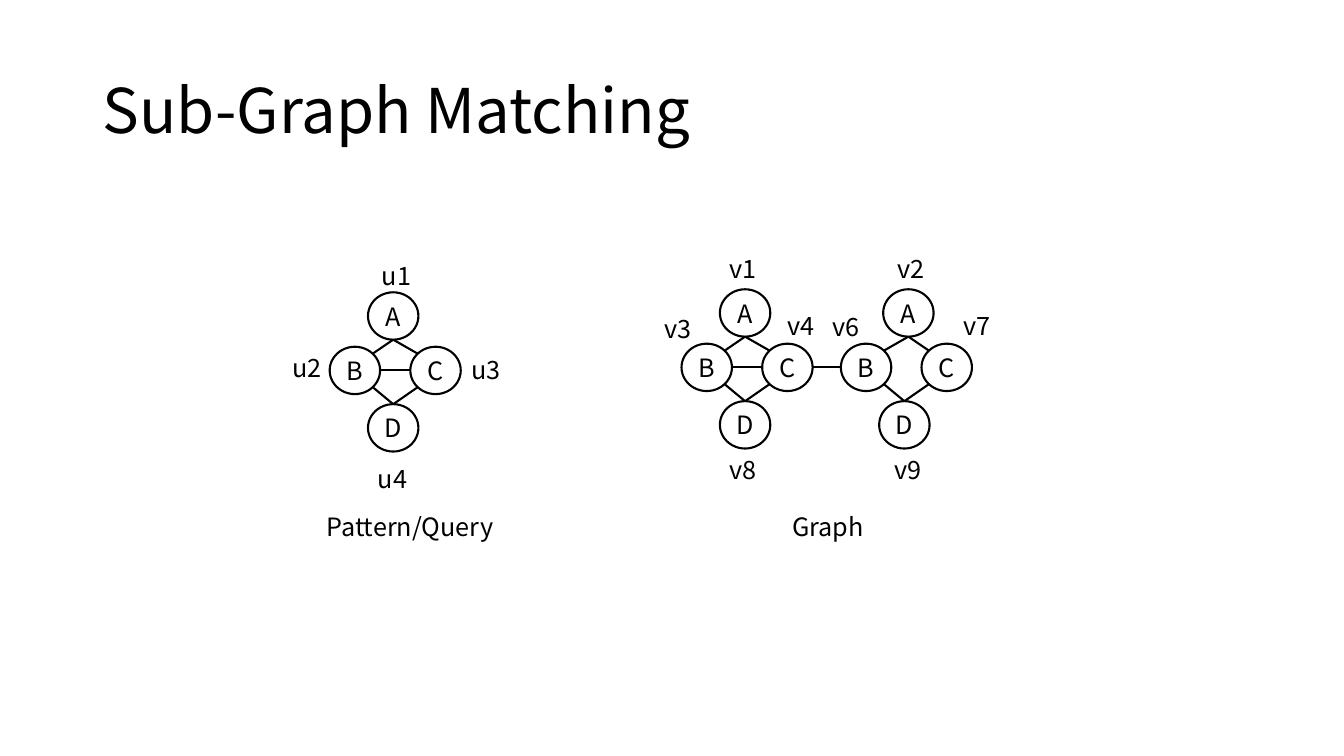
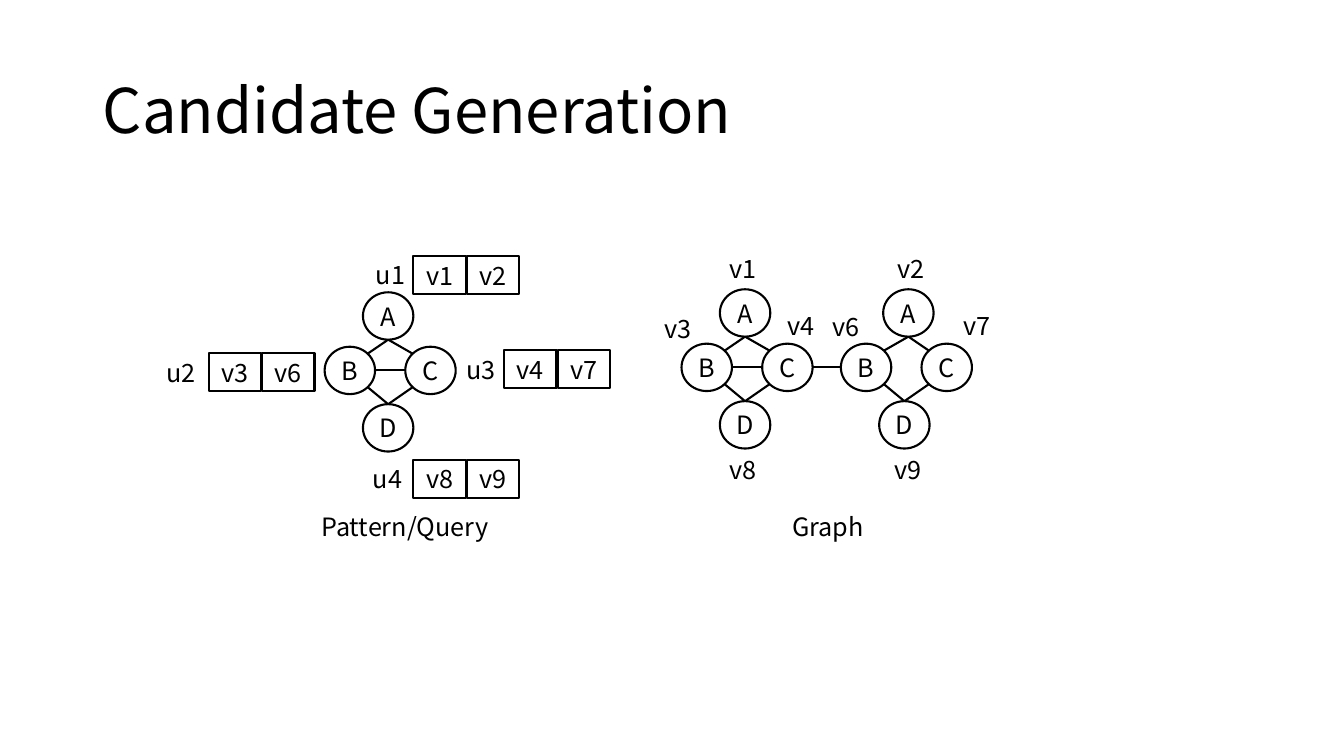
from dataclasses import dataclass
from math import sqrt

from lxml import etree
from pptx import Presentation
from pptx.dml.color import RGBColor
from pptx.enum.shapes import MSO_CONNECTOR, MSO_SHAPE
from pptx.enum.text import MSO_ANCHOR, MSO_AUTO_SIZE, PP_ALIGN
from pptx.oxml.ns import qn
from pptx.shapes.autoshape import Shape
from pptx.slide import Slide
from pptx.util import Emu, Pt

STRAIGHT = MSO_CONNECTOR.STRAIGHT
OVAL = MSO_SHAPE.OVAL
RECTANGLE = MSO_SHAPE.RECTANGLE
MIDDLE = MSO_ANCHOR.MIDDLE
CENTER = PP_ALIGN.CENTER
LEFT = PP_ALIGN.LEFT
FIT_SHAPE = MSO_AUTO_SIZE.SHAPE_TO_FIT_TEXT
NO_FIT = MSO_AUTO_SIZE.NONE

EMU_PER_PX = 9144
FONT = "Noto Sans CJK SC"
COLORS = {"ink": "000000", "paper": "FFFFFF"}
TITLE_ONLY = 5
NODE_W, NODE_H = 50, 47
CELL_W, CELL_H, CELL_PITCH = 52, 38, 53
LABEL_W, CAPTION_W, LABEL_H = 62, 186, 40

DIAGONAL = sqrt(0.5)
TOP, TOP_LEFT, SIDE_LEFT, BOTTOM_LEFT, BOTTOM, BOTTOM_RIGHT, SIDE_RIGHT, TOP_RIGHT = range(8)
SITES = {
    TOP: (0, -1),
    TOP_LEFT: (-DIAGONAL, -DIAGONAL),
    SIDE_LEFT: (-1, 0),
    BOTTOM_LEFT: (-DIAGONAL, DIAGONAL),
    BOTTOM: (0, 1),
    BOTTOM_RIGHT: (DIAGONAL, DIAGONAL),
    SIDE_RIGHT: (1, 0),
    TOP_RIGHT: (DIAGONAL, -DIAGONAL),
}


@dataclass(frozen=True)
class Diamond:
    x: int
    y: int
    a_dx: int = 38
    crossbar: bool = True


@dataclass(frozen=True)
class Label:
    text: str
    x: int
    y: int
    w: int = LABEL_W


@dataclass(frozen=True)
class Candidates:
    x: int
    y: int
    names: tuple[str, ...]


@dataclass(frozen=True)
class Page:
    title: str
    pattern: Diamond
    labels: tuple[Label, ...]
    candidates: tuple[Candidates, ...] = ()


GRAPH_LEFT = Diamond(676, 287)
GRAPH_RIGHT = Diamond(834, 287, a_dx=42, crossbar=False)
GRAPH_LABELS = (
    Label("v1", 714, 246),
    Label("v2", 880, 246),
    Label("v3", 649, 306),
    Label("v4", 771, 303),
    Label("v6", 816, 304),
    Label("v7", 946, 303),
    Label("v8", 714, 446),
    Label("v9", 877, 446),
    Label("Graph", 776, 502, CAPTION_W),
)
PAGES = (
    Page(
        "Sub-Graph Matching",
        Diamond(327, 290),
        (
            Label("u1", 369, 253),
            Label("u2", 280, 345),
            Label("u3", 458, 347),
            Label("u4", 365, 455),
            Label("Pattern/Query", 314, 502, CAPTION_W),
        ),
    ),
    Page(
        "Candidate Generation",
        Diamond(322, 290),
        (
            Label("u1", 363, 252),
            Label("u2", 155, 350),
            Label("u3", 453, 347),
            Label("u4", 360, 455),
            Label("Pattern/Query", 309, 502, CAPTION_W),
        ),
        (
            Candidates(410, 254, ("v1", "v2")),
            Candidates(207, 350, ("v3", "v6")),
            Candidates(500, 347, ("v4", "v7")),
            Candidates(410, 456, ("v8", "v9")),
        ),
    ),
)


def px(n: int) -> Emu:
    return Emu(n * EMU_PER_PX)


def color(name: str) -> RGBColor:
    return RGBColor.from_string(COLORS[name])


def write(sp: Shape, text: str, size: int, align: PP_ALIGN) -> None:
    p = sp.text_frame.paragraphs[0]
    p.alignment = align
    r = p.add_run()
    r.text = text
    r.font.name = FONT
    r.font.size = Pt(size)
    r.font.color.rgb = color("ink")


def add_title(s: Slide, text: str) -> None:
    sp = s.shapes.title
    sp.left, sp.top, sp.width, sp.height = px(92), px(40), px(1150), px(145)
    tf = sp.text_frame
    tf.auto_size = NO_FIT
    tf.vertical_anchor = MIDDLE
    tf.paragraphs[0].line_spacing = 0.9
    write(sp, text, 44, LEFT)


def add_label(s: Slide, label: Label) -> None:
    sp = s.shapes.add_textbox(px(label.x), px(label.y), px(label.w), px(LABEL_H))
    sp.text_frame.word_wrap = True
    sp.text_frame.auto_size = FIT_SHAPE
    write(sp, label.text, 18, LEFT)


def add_box(s: Slide, kind: MSO_SHAPE, text: str, x: int, y: int, w: int, h: int) -> Shape:
    sp = s.shapes.add_shape(kind, px(x), px(y), px(w), px(h))
    sp.shadow.inherit = False
    sp.fill.solid()
    sp.fill.fore_color.rgb = color("paper")
    sp.line.color.rgb = color("ink")
    sp.line.width = Pt(1.5)
    tf = sp.text_frame
    tf.margin_left = tf.margin_right = tf.margin_top = tf.margin_bottom = 0
    tf.vertical_anchor = MIDDLE
    write(sp, text, 18, CENTER)
    return sp


def site_point(node: Shape, site: int) -> tuple[Emu, Emu]:
    dx, dy = SITES[site]
    return (
        Emu(round(node.left + node.width * (1 + dx) / 2)),
        Emu(round(node.top + node.height * (1 + dy) / 2)),
    )


def add_edge(s: Slide, start: Shape, start_site: int, end: Shape, end_site: int) -> None:
    cxn = s.shapes.add_connector(
        STRAIGHT, *site_point(start, start_site), *site_point(end, end_site)
    )
    cxn.line.color.rgb = color("ink")
    cxn.line.width = Pt(1.5)
    etree.SubElement(cxn._element.spPr, qn("a:effectLst"))
    joints = cxn._element.find(".//" + qn("p:cNvCxnSpPr"))
    for tag, node, site in (("a:stCxn", start, start_site), ("a:endCxn", end, end_site)):
        etree.SubElement(joints, qn(tag), id=str(node.shape_id), idx=str(site))


def add_diamond(s: Slide, d: Diamond) -> dict[str, Shape]:
    offsets = {"A": (d.a_dx, 0), "C": (80, 54), "B": (0, 54), "D": (38, 111)}
    nodes = {
        name: add_box(s, OVAL, name, d.x + dx, d.y + dy, NODE_W, NODE_H)
        for name, (dx, dy) in offsets.items()
    }
    edges = [
        ("A", BOTTOM, "C", TOP_LEFT),
        ("A", BOTTOM, "B", TOP_RIGHT),
        ("C", BOTTOM_LEFT, "D", TOP),
        ("D", TOP, "B", BOTTOM_RIGHT),
    ]
    if d.crossbar:
        edges.append(("C", SIDE_LEFT, "B", SIDE_RIGHT))
    for start, start_site, end, end_site in edges:
        add_edge(s, nodes[start], start_site, nodes[end], end_site)
    return nodes


def add_page(prs: Presentation, page: Page) -> None:
    s = prs.slides.add_slide(prs.slide_layouts[TITLE_ONLY])
    add_title(s, page.title)
    add_diamond(s, page.pattern)
    left = add_diamond(s, GRAPH_LEFT)
    right = add_diamond(s, GRAPH_RIGHT)
    add_edge(s, right["B"], SIDE_LEFT, left["C"], SIDE_RIGHT)
    for label in page.labels + GRAPH_LABELS:
        add_label(s, label)
    for row in page.candidates:
        for i, name in enumerate(row.names):
            add_box(s, RECTANGLE, name, row.x + i * CELL_PITCH, row.y, CELL_W, CELL_H)


def main() -> None:
    prs = Presentation()
    prs.slide_width, prs.slide_height = px(1333), px(750)
    for page in PAGES:
        add_page(prs, page)
    prs.save("out.pptx")


if __name__ == "__main__":
    main()
